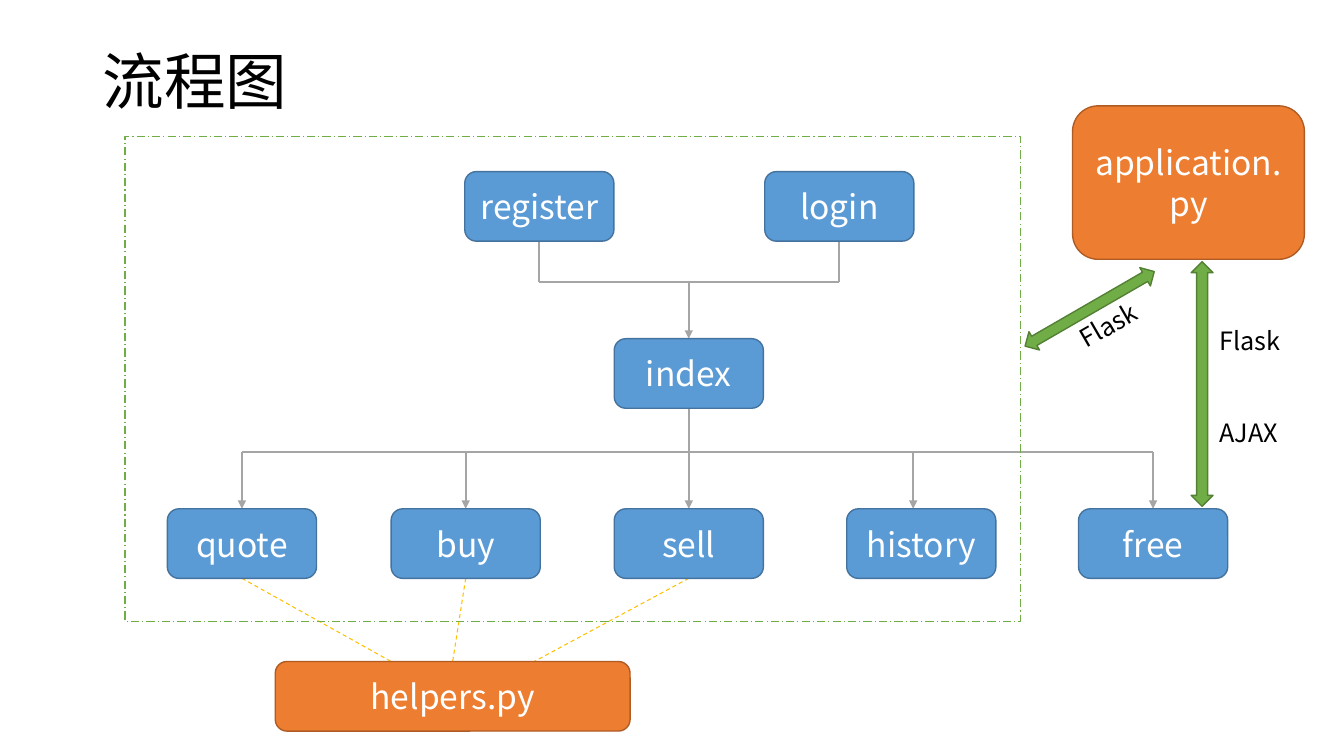
from dataclasses import dataclass
from typing import Any, Optional

from lxml.etree import SubElement
from pptx import Presentation
from pptx.dml.color import RGBColor
from pptx.enum.dml import MSO_LINE_DASH_STYLE as Dash
from pptx.enum.shapes import MSO_CONNECTOR as Link, MSO_SHAPE as Preset
from pptx.enum.text import MSO_ANCHOR as Anchor, PP_ALIGN as Align
from pptx.oxml.ns import qn
from pptx.util import Inches, Pt

FONT = "Noto Sans CJK SC"
BLACK = RGBColor(0x00, 0x00, 0x00)
WHITE = RGBColor(0xFF, 0xFF, 0xFF)
ORANGE = RGBColor(0xED, 0x7D, 0x31)
RUST = RGBColor(0xAF, 0x5C, 0x24)
BLUE = RGBColor(0x5B, 0x9B, 0xD5)
NAVY = RGBColor(0x43, 0x73, 0x9E)
GREEN = RGBColor(0x70, 0xAD, 0x47)
FOREST = RGBColor(0x53, 0x80, 0x35)
GRAY = RGBColor(0xA5, 0xA5, 0xA5)
GOLD = RGBColor(0xFF, 0xC0, 0x00)

NODE_W, NODE_H = 11.1, 9.2
LOGIN_ROW, INDEX_ROW, PAGE_ROW, HELPER_ROW = 22.7, 44.8, 67.3, 87.5
LOGIN_BUS, PAGE_BUS = 37.35, 59.75
REGISTER, LOGIN, INDEX = 40.13, 62.45, 51.25
PAGES = {"quote": 18, "buy": 34.65, "sell": 51.25, "history": 68.55, "free": 85.8}
STEMS = {**PAGES, "history": 67.95}
HELPER_ENDS = {"quote": 29.1, "buy": 33.68, "sell": 39.75}

prs = Presentation()
prs.slide_width, prs.slide_height = Inches(13.333), Inches(7.5)
s = prs.slides.add_slide(prs.slide_layouts[6])


@dataclass(frozen=True)
class Block:
    col: float
    row: float
    w: float = NODE_W
    h: float = NODE_H
    text: str = ""
    fill: Optional[RGBColor] = BLUE
    edge: RGBColor = NAVY
    preset: Preset = Preset.FLOWCHART_ALTERNATE_PROCESS
    turn: float = 0
    weight: float = 1
    dash: Optional[Dash] = None


@dataclass(frozen=True)
class Wire:
    col1: float
    row1: float
    col2: float
    row2: float
    arrow: bool = False
    color: RGBColor = GRAY
    weight: float = 1.5
    dash: Optional[Dash] = None


@dataclass(frozen=True)
class Label:
    col: float
    row: float
    w: float
    h: float
    lines: tuple[str, ...]
    size: int = 18
    turn: float = 0
    gap: int = 0
    spacing: float = 1
    anchor: Anchor = Anchor.TOP


def x(col: float) -> int:
    return round(prs.slide_width * col / 100)


def y(row: float) -> int:
    return round(prs.slide_height * row / 100)


def assign(target: Any, values: dict[str, Any]) -> None:
    for name, value in values.items():
        setattr(target, name, value)


def stroke(line: Any, color: RGBColor, weight: float, dash: Optional[Dash]) -> None:
    line.color.rgb = color
    assign(line, {"width": Pt(weight), "dash_style": dash})


def write(p: Any, text: str, size: int, color: RGBColor) -> None:
    r = p.add_run()
    r.text = text
    assign(r.font, {"name": FONT, "size": Pt(size)})
    r.font.color.rgb = color
    SubElement(r.font._element, qn("a:ea"), typeface=FONT)


def draw_block(b: Block) -> None:
    sp = s.shapes.add_shape(b.preset, x(b.col - b.w / 2), y(b.row), x(b.w), y(b.h))
    sp.shadow.inherit = False
    sp.rotation = b.turn
    if b.fill is None:
        sp.fill.background()
    else:
        sp.fill.solid()
        sp.fill.fore_color.rgb = b.fill
    stroke(sp.line, b.edge, b.weight, b.dash)
    if b.text:
        tf = sp.text_frame
        assign(tf, {"word_wrap": True, "vertical_anchor": Anchor.MIDDLE})
        tf.paragraphs[0].alignment = Align.CENTER
        write(tf.paragraphs[0], b.text, 24, WHITE)


def draw_wire(w: Wire) -> None:
    cx = s.shapes.add_connector(Link.STRAIGHT, x(w.col1), y(w.row1), x(w.col2), y(w.row2))
    stroke(cx.line, w.color, w.weight, w.dash)
    if w.arrow:
        SubElement(cx.line._get_or_add_ln(), qn("a:tailEnd"), type="triangle")
    SubElement(cx._element.spPr, qn("a:effectLst"))


def draw_label(label: Label) -> None:
    sp = s.shapes.add_textbox(x(label.col), y(label.row), x(label.w), y(label.h))
    sp.rotation = label.turn
    tf = sp.text_frame
    assign(tf, {"word_wrap": True, "vertical_anchor": label.anchor})
    for i, line in enumerate(label.lines):
        p = tf.add_paragraph() if i else tf.paragraphs[0]
        assign(p, {"space_before": Pt(label.gap * i), "line_spacing": label.spacing})
        write(p, line, label.size, BLACK)


page_foot = PAGE_ROW + NODE_H
wires = [
    Wire(REGISTER, LOGIN_BUS, LOGIN, LOGIN_BUS),
    *(Wire(col, LOGIN_ROW + NODE_H, col, LOGIN_BUS) for col in (REGISTER, LOGIN)),
    Wire(INDEX, LOGIN_BUS, INDEX, INDEX_ROW, arrow=True),
    Wire(INDEX, INDEX_ROW + NODE_H, INDEX, PAGE_BUS),
    Wire(STEMS["quote"], PAGE_BUS, STEMS["free"], PAGE_BUS),
    *(Wire(col, PAGE_BUS, col, PAGE_ROW, arrow=True) for col in STEMS.values()),
    *(Wire(PAGES[page], page_foot, end, HELPER_ROW, color=GOLD, weight=0.75, dash=Dash.DASH)
      for page, end in HELPER_ENDS.items()),
]
arrow_style = {"fill": GREEN, "edge": FOREST, "preset": Preset.LEFT_RIGHT_ARROW}
blocks = [
    Block(88.43, 14, 17.25, 20.3, "application.py", ORANGE, RUST),
    Block(33.68, HELPER_ROW, 26.4, NODE_H, "helpers.py", ORANGE, RUST),
    Block(REGISTER, LOGIN_ROW, text="register"),
    Block(LOGIN, LOGIN_ROW, text="login"),
    Block(INDEX, INDEX_ROW, text="index"),
    *(Block(col, PAGE_ROW, text=page) for page, col in PAGES.items()),
    Block(42.6, 18, 66.6, 64.15, fill=None, edge=GREEN, preset=Preset.RECTANGLE,
          weight=0.75, dash=Dash.LONG_DASH_DOT),
    Block(81.08, 39.45, NODE_W, 2.8, turn=150, **arrow_style),
    Block(89.44, 49.35, 18.2, 2.9, turn=90, **arrow_style),
]
labels = [
    Label(6.9, 1.5, 86.25, 19.3, ("流程图",), size=44, spacing=0.9, anchor=Anchor.MIDDLE),
    Label(79.35, 39.6, 7.6, 5.35, ("Flask",), turn=330),
    Label(90, 42.4, 6.6, 17.5, ("Flask", "AJAX"), gap=44),
]

for wire in wires:
    draw_wire(wire)
for block in blocks:
    draw_block(block)
for label in labels:
    draw_label(label)

prs.save("out.pptx")
